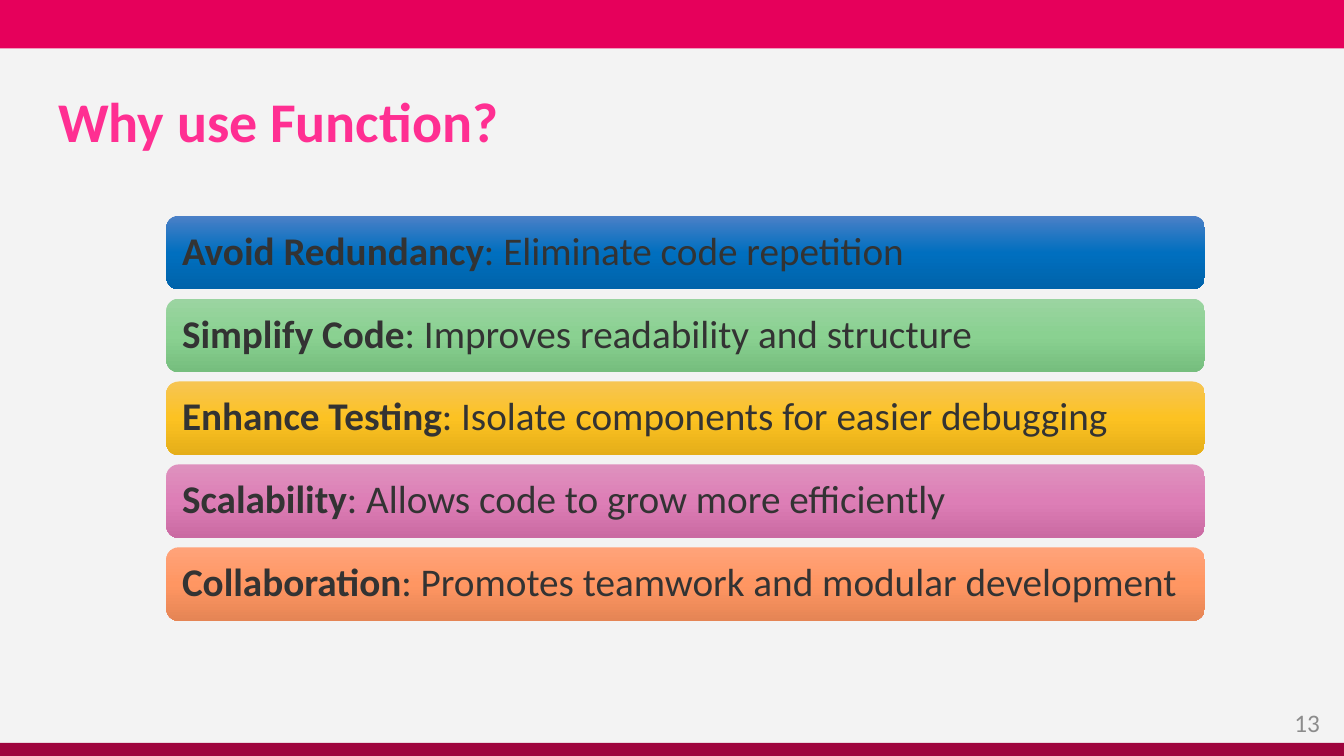
from copy import deepcopy

from pptx import Presentation
from pptx.dml.color import RGBColor
from pptx.enum.shapes import MSO_SHAPE
from pptx.enum.text import MSO_ANCHOR, PP_ALIGN
from pptx.util import Inches, Pt

RECT, ROUNDED = MSO_SHAPE.RECTANGLE, MSO_SHAPE.ROUNDED_RECTANGLE
MIDDLE, TOP = MSO_ANCHOR.MIDDLE, MSO_ANCHOR.TOP
LEFT, RIGHT = PP_ALIGN.LEFT, PP_ALIGN.RIGHT

THEME = {
    "font": "Calibri",
    "background": "F3F3F3",
    "header": "E6005B",
    "footer": "9E043D",
    "title": {"size": 40, "color": "FF2F92", "bold": True},
    "number": {"size": 18, "color": "8C8C8C", "bold": False},
    "term": {"size": 28, "color": "333333", "bold": True},
    "detail": {"size": 28, "color": "333333", "bold": False},
    "bars": [
        ("4B80C7", "006FBF", "0063AA"),
        ("9BD4A1", "8AD191", "76BE7E"),
        ("F6C554", "FCC222", "E5AE19"),
        ("DE91BE", "DD7EB6", "CA6AA2"),
        ("FFA37A", "FF9662", "E58555"),
    ],
}

REASONS = [
    ("Avoid Redundancy", ": Eliminate code repetition"),
    ("Simplify Code", ": Improves readability and structure"),
    ("Enhance Testing", ": Isolate components for easier debugging"),
    ("Scalability", ": Allows code to grow more efficiently"),
    ("Collaboration", ": Promotes teamwork and modular development"),
]


def add_shape(kind, left, top, width, height):
    sp = slide.shapes.add_shape(kind, Inches(left), Inches(top), Inches(width), Inches(height))
    sp.shadow.inherit = False
    sp.line.fill.background()
    return sp


def write_text(sp, runs, anchor, align, spacing, margins):
    tf = sp.text_frame
    frame_format = {"word_wrap": True, "vertical_anchor": anchor}
    for side, margin in zip(("left", "top", "right", "bottom"), margins):
        frame_format[f"margin_{side}"] = Inches(margin)
    for name, value in frame_format.items():
        setattr(tf, name, value)
    p = tf.paragraphs[0]
    p.alignment = align
    p.line_spacing = spacing
    for text, style in runs:
        r = p.add_run()
        r.text = text
        font_format = {
            "name": THEME["font"],
            "size": Pt(THEME[style]["size"]),
            "bold": THEME[style]["bold"],
        }
        for name, value in font_format.items():
            setattr(r.font, name, value)
        r.font.color.rgb = RGBColor.from_string(THEME[style]["color"])


prs = Presentation()
prs.slide_width = Inches(13.33)
prs.slide_height = Inches(7.5)
slide = prs.slides.add_slide(prs.slide_layouts[6])
slide.background.fill.solid()
slide.background.fill.fore_color.rgb = RGBColor.from_string(THEME["background"])

for band, top, height in [("header", 0, 0.48), ("footer", 7.37, 0.13)]:
    sp = add_shape(RECT, 0, top, 13.33, height)
    sp.fill.solid()
    sp.fill.fore_color.rgb = RGBColor.from_string(THEME[band])

number = slide.shapes.add_textbox(Inches(10.94), Inches(6.97), Inches(2.25), Inches(0.4))
write_text(number, [("13", "number")], TOP, RIGHT, 1.0, (0.1, 0.05, 0.1, 0.05))

title = slide.shapes.add_textbox(Inches(0.48), Inches(0.88), Inches(12.36), Inches(0.7))
write_text(title, [("Why use Function?", "title")], MIDDLE, LEFT, 0.9, (0.1, 0.05, 0.1, 0.05))

bar_top, bar_pitch = 2.14, (5.43 - 2.14) / 4
for i, ((term, detail), colors) in enumerate(zip(REASONS, THEME["bars"])):
    bar = add_shape(ROUNDED, 1.65, bar_top + i * bar_pitch, 10.3, 0.73)
    bar.fill.gradient()
    bar.fill.gradient_angle = 270
    stops = bar._element.spPr.gradFill.gsLst
    stops.insert(1, deepcopy(stops[0]))
    for stop, position, color in zip(bar.fill.gradient_stops, (0, 0.5, 1), colors):
        stop.position = position
        stop.color.rgb = RGBColor.from_string(color)
    write_text(bar, [(term, "term"), (detail, "detail")], MIDDLE, LEFT, 0.9, (0.12, 0.12, 0.12, 0.12))

prs.save("out.pptx")
